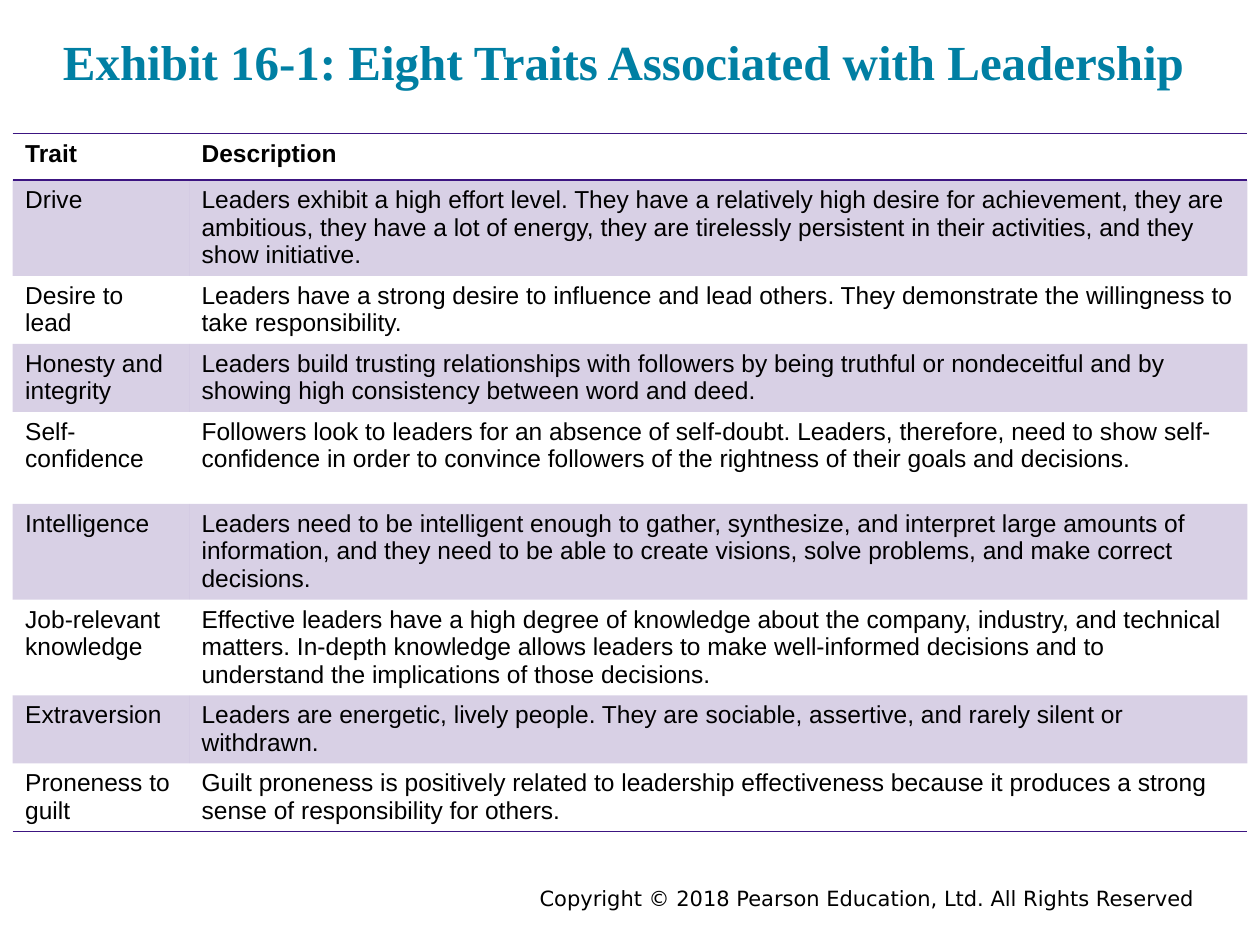
"""Build the slide that lists eight traits associated with leadership."""
from typing import NamedTuple

from lxml.etree import SubElement
from pptx import Presentation
from pptx.dml.color import RGBColor
from pptx.enum.text import MSO_ANCHOR, PP_ALIGN
from pptx.oxml import parse_xml
from pptx.oxml.ns import nsdecls, qn
from pptx.util import Inches, Pt

PURPLE = "3C1581"
BLACK = "000000"
TEAL = "007FA3"
NO_STYLE = "{2D5ABB26-0587-4C30-8999-92F81FD0307C}"
COLUMN_WIDTHS = (1.4, 8.4)
TWO_LINES = 0.54
THREE_LINES = 0.76


class TraitRow(NamedTuple):
    trait: str
    description: str
    height: float


class Style(NamedTuple):
    font: str
    size: float
    color: str
    bold: bool = False


TITLE_STYLE = Style("Times New Roman", 28, TEAL, True)
HEADER_STYLE = Style("Arial", 14, BLACK, True)
BODY_STYLE = Style("Arial", 14, BLACK)
COPYRIGHT_STYLE = Style("DejaVu Sans", 12, BLACK)

ROWS = (
    TraitRow("Trait", "Description", 0.37),
    TraitRow("Drive", "Leaders exhibit a high effort level. They have a relatively high desire for "
             "achievement, they are ambitious, they have a lot of energy, they are tirelessly "
             "persistent in their activities, and they show initiative.", THREE_LINES),
    TraitRow("Desire to lead", "Leaders have a strong desire to influence and lead others. They "
             "demonstrate the willingness to take responsibility.", TWO_LINES),
    TraitRow("Honesty and integrity", "Leaders build trusting relationships with followers by being "
             "truthful or nondeceitful and by showing high consistency between word and deed.",
             TWO_LINES),
    TraitRow("Self-confidence", "Followers look to leaders for an absence of self-doubt. Leaders, "
             "therefore, need to show self-confidence in order to convince followers of the "
             "rightness of their goals and decisions.", 0.73),
    TraitRow("Intelligence", "Leaders need to be intelligent enough to gather, synthesize, and "
             "interpret large amounts of information, and they need to be able to create visions, "
             "solve problems, and make correct decisions.", THREE_LINES),
    TraitRow("Job-relevant knowledge", "Effective leaders have a high degree of knowledge about the "
             "company, industry, and technical matters. In-depth knowledge allows leaders to make "
             "well-informed decisions and to understand the implications of those decisions.",
             THREE_LINES),
    TraitRow("Extraversion", "Leaders are energetic, lively people. They are sociable, assertive, "
             "and rarely silent or withdrawn.", TWO_LINES),
    TraitRow("Proneness to guilt", "Guilt proneness is positively related to leadership "
             "effectiveness because it produces a strong sense of responsibility for others.",
             TWO_LINES),
)


def hex_color(value: str) -> RGBColor:
    """Turn a hex string into a colour."""
    return RGBColor.from_string(value)


def write_text(text_frame, text: str, style: Style) -> None:
    """Fill a text frame and format its runs."""
    text_frame.text = text
    for run in text_frame.paragraphs[0].runs:
        run.font.name = style.font
        run.font.size = Pt(style.size)
        run.font.bold = style.bold
        run.font.color.rgb = hex_color(style.color)


def add_text(slide, text: str, style: Style, box: tuple, align, margin: tuple = (0, 0)) -> None:
    """Add a wrapping text box with horizontal and vertical margins."""
    text_frame = slide.shapes.add_textbox(*map(Inches, box)).text_frame
    text_frame.word_wrap = True
    text_frame.vertical_anchor = MSO_ANCHOR.TOP
    text_frame.margin_left = text_frame.margin_right = Inches(margin[0])
    text_frame.margin_top = text_frame.margin_bottom = Inches(margin[1])
    write_text(text_frame, text, style)
    text_frame.paragraphs[0].alignment = align


def shade_cell(cell, shaded: bool) -> None:
    """Give a cell a pale purple fill or none."""
    if not shaded:
        cell.fill.background()
        return
    cell.fill.solid()
    cell.fill.fore_color.rgb = hex_color(PURPLE)
    color = cell._tc.tcPr.find(".//" + qn("a:srgbClr"))
    SubElement(color, qn("a:alpha"), val="20000")


def add_borders(cell, sides: tuple) -> None:
    """Draw one-point purple lines on the given sides of a cell."""
    for index, side in enumerate(sides):
        line = parse_xml(
            f'<a:{side} {nsdecls("a")} w="{Pt(1)}"><a:solidFill><a:srgbClr val="{PURPLE}"/>'
            f'</a:solidFill><a:prstDash val="solid"/></a:{side}>')
        cell._tc.tcPr.insert(index, line)


def add_trait_table(slide) -> None:
    """Add the table of traits with alternate shaded rows."""
    height = sum(row.height for row in ROWS)
    table = slide.shapes.add_table(
        len(ROWS), len(COLUMN_WIDTHS), Inches(0.1), Inches(1.06),
        Inches(sum(COLUMN_WIDTHS)), Inches(height)).table
    table._tbl.tblPr.find(qn("a:tableStyleId")).text = NO_STYLE
    table.horz_banding = False
    for column, width in zip(table.columns, COLUMN_WIDTHS):
        column.width = Inches(width)
    borders = {0: ("lnT", "lnB"), len(ROWS) - 1: ("lnB",)}
    for row_index, row in enumerate(ROWS):
        table.rows[row_index].height = Inches(row.height)
        for cell, text in zip(table.rows[row_index].cells, (row.trait, row.description)):
            write_text(cell.text_frame, text, BODY_STYLE if row_index else HEADER_STYLE)
            cell.margin_bottom = Inches(0)
            shade_cell(cell, row_index % 2 == 1)
            add_borders(cell, borders.get(row_index, ()))


def main() -> None:
    """Create and save the presentation."""
    presentation = Presentation()
    presentation.slide_width = Inches(10)
    presentation.slide_height = Inches(7.5)
    slide = presentation.slides.add_slide(presentation.slide_layouts[6])
    add_text(slide, "Copyright © 2018 Pearson Education, Ltd. All Rights Reserved",
             COPYRIGHT_STYLE, (1.75, 6.98, 7.83, 0.3), PP_ALIGN.RIGHT, (0.1, 0.05))
    add_text(slide, "Exhibit 16-1: Eight Traits Associated with Leadership",
             TITLE_STYLE, (0.5, 0.25, 9, 1.17), PP_ALIGN.LEFT)
    add_trait_table(slide)
    presentation.save("out.pptx")


if __name__ == "__main__":
    main()
